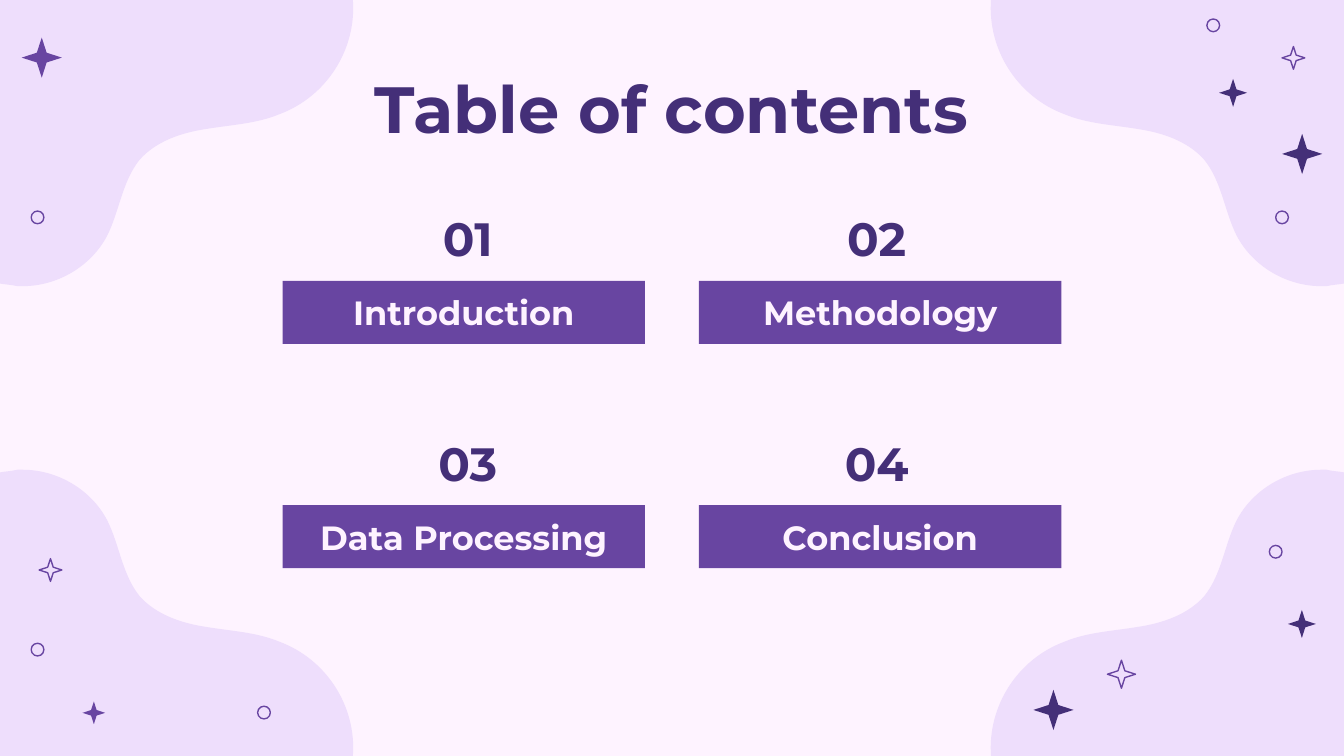
from lxml.etree import SubElement
from pptx import Presentation
from pptx.dml.color import RGBColor
from pptx.enum.shapes import MSO_SHAPE
from pptx.enum.text import MSO_ANCHOR, MSO_AUTO_SIZE, PP_ALIGN
from pptx.oxml.ns import qn
from pptx.util import Cm, Pt

PALE = RGBColor(0xFE, 0xF3, 0xFF)
LILAC = RGBColor(0xEE, 0xDE, 0xFC)
PURPLE = RGBColor(0x68, 0x45, 0xA1)
INDIGO = RGBColor(0x44, 0x2F, 0x78)

# All lengths are in centimetres.
WIDTH, HEIGHT = 25.4, 14.29

TITLE = "Table of contents"
TITLE_BOX = (1.99, 1.23, 21.41, 1.6)
SECTIONS = [
    ("01", "Introduction"),
    ("02", "Methodology"),
    ("03", "Data Processing"),
    ("04", "Conclusion"),
]
BAR_LEFTS = (5.34, 13.21)
NUMBER_LEFTS = (7, 14.73)
FIRST_NUMBER_TOP, ROW_STEP, BAR_OFFSET = 3.91, 4.24, 1.4
BAR_WIDTH, NUMBER_WIDTH, ENTRY_HEIGHT = 6.85, 3.68, 1.19

# Corner wave at the top left: a start point, then cubic Bezier segments.
WAVE_START = (6.67, 0)
WAVE_CURVES = [
    ((6.74, 0.94), (6.17, 1.83), (5.28, 2.16)),
    ((4.85, 2.34), (4.37, 2.36), (3.89, 2.44)),
    ((3.43, 2.51), (2.95, 2.67), (2.64, 3.02)),
    ((2.31, 3.43), (2.26, 3.99), (2.03, 4.45)),
    ((1.73, 5.03), (1.09, 5.41), (0.43, 5.41)),
    ((0.38, 5.41), (0.36, 5.41), (0.33, 5.41)),
    ((0.2, 5.38), (0.1, 5.38), (0, 5.36)),
]
CORNER = (0, 0)

# Left, top, size, fill (None for an outlined star)
STARS = [
    (0.41, 0.71, 0.76, PURPLE),
    (0.74, 10.56, 0.43, None),
    (1.56, 13.26, 0.43, PURPLE),
    (24.23, 0.88, 0.43, None),
    (23.04, 1.49, 0.53, INDIGO),
    (24.23, 2.53, 0.76, INDIGO),
    (19.53, 13.04, 0.76, INDIGO),
    (24.34, 11.53, 0.53, INDIGO),
    (20.93, 12.48, 0.53, None),
]
CIRCLE_SIZE = 0.24
CIRCLES = [(0.59, 3.99), (0.59, 12.16), (4.87, 13.35),
           (22.81, 0.36), (24.11, 3.99), (23.99, 10.31)]

FRAME_FORMAT = {
    "word_wrap": True,
    "auto_size": MSO_AUTO_SIZE.NONE,
    "vertical_anchor": MSO_ANCHOR.MIDDLE,
    "margin_left": Cm(0.25),
    "margin_right": Cm(0.25),
    "margin_top": Cm(0.25),
    "margin_bottom": Cm(0.25),
}


def set_text(shape, text, size, color):
    frame = shape.text_frame
    frame.text = text
    for name, value in FRAME_FORMAT.items():
        setattr(frame, name, value)
    paragraph = frame.paragraphs[0]
    paragraph.alignment = PP_ALIGN.CENTER
    font = paragraph.runs[0].font
    for name, value in {"name": "Montserrat", "size": Pt(size), "bold": True}.items():
        setattr(font, name, value)
    font.color.rgb = color


def paint(shape, fill):
    """Fill the shape without a line, or outline it when fill is None."""
    shape.shadow.inherit = False
    if fill is None:
        shape.fill.background()
        shape.line.color.rgb = PURPLE
        shape.line.width = Pt(0.75)
    else:
        shape.fill.solid()
        shape.fill.fore_color.rgb = fill
        shape.line.fill.background()


def add_preset(slide, kind, box, fill):
    shape = slide.shapes.add_shape(kind, *map(Cm, box))
    paint(shape, fill)
    return shape


def add_wave(slide, flip_x, flip_y):
    """Draw the corner wave, mirrored as asked, with true Bezier segments."""
    def place(point):
        x, y = point
        return Cm(WIDTH - x if flip_x else x), Cm(HEIGHT - y if flip_y else y)

    builder = slide.shapes.build_freeform(*place(WAVE_START))
    anchors = [curve[-1] for curve in WAVE_CURVES] + [CORNER]
    builder.add_line_segments([place(anchor) for anchor in anchors], close=True)
    shape = builder.convert_to_shape()
    lines = list(shape.element.iter(qn("a:lnTo")))
    for line, curve in zip(lines, WAVE_CURVES):
        bezier = SubElement(line.getparent(), qn("a:cubicBezTo"))
        for x, y in map(place, curve):
            SubElement(bezier, qn("a:pt"), x=str(x - shape.left), y=str(y - shape.top))
        line.getparent().replace(line, bezier)
    paint(shape, LILAC)


def add_section(slide, index, number, name):
    row, column = divmod(index, 2)
    top = FIRST_NUMBER_TOP + row * ROW_STEP
    bar_box = (BAR_LEFTS[column], top + BAR_OFFSET, BAR_WIDTH, ENTRY_HEIGHT)
    bar = add_preset(slide, MSO_SHAPE.RECTANGLE, bar_box, PURPLE)
    set_text(bar, name, 18, PALE)
    number_box = (NUMBER_LEFTS[column], top, NUMBER_WIDTH, ENTRY_HEIGHT)
    set_text(slide.shapes.add_textbox(*map(Cm, number_box)), number, 25, INDIGO)


def main():
    presentation = Presentation()
    presentation.slide_width, presentation.slide_height = Cm(WIDTH), Cm(HEIGHT)
    slide = presentation.slides.add_slide(presentation.slide_layouts[5])
    slide.background.fill.solid()
    slide.background.fill.fore_color.rgb = PALE

    for flip_x in (False, True):
        for flip_y in (False, True):
            add_wave(slide, flip_x, flip_y)
    for left, top, size, fill in STARS:
        star = add_preset(slide, MSO_SHAPE.STAR_4_POINT, (left, top, size, size), fill)
        star.adjustments[0] = 0.172
    for left, top in CIRCLES:
        add_preset(slide, MSO_SHAPE.OVAL, (left, top, CIRCLE_SIZE, CIRCLE_SIZE), None)
    for index, (number, name) in enumerate(SECTIONS):
        add_section(slide, index, number, name)

    title = slide.shapes.title
    title.left, title.top, title.width, title.height = map(Cm, TITLE_BOX)
    set_text(title, TITLE, 35, INDIGO)
    slide.shapes.element.append(title.element)  # bring the title to the front

    presentation.save("out.pptx")


if __name__ == "__main__":
    main()
